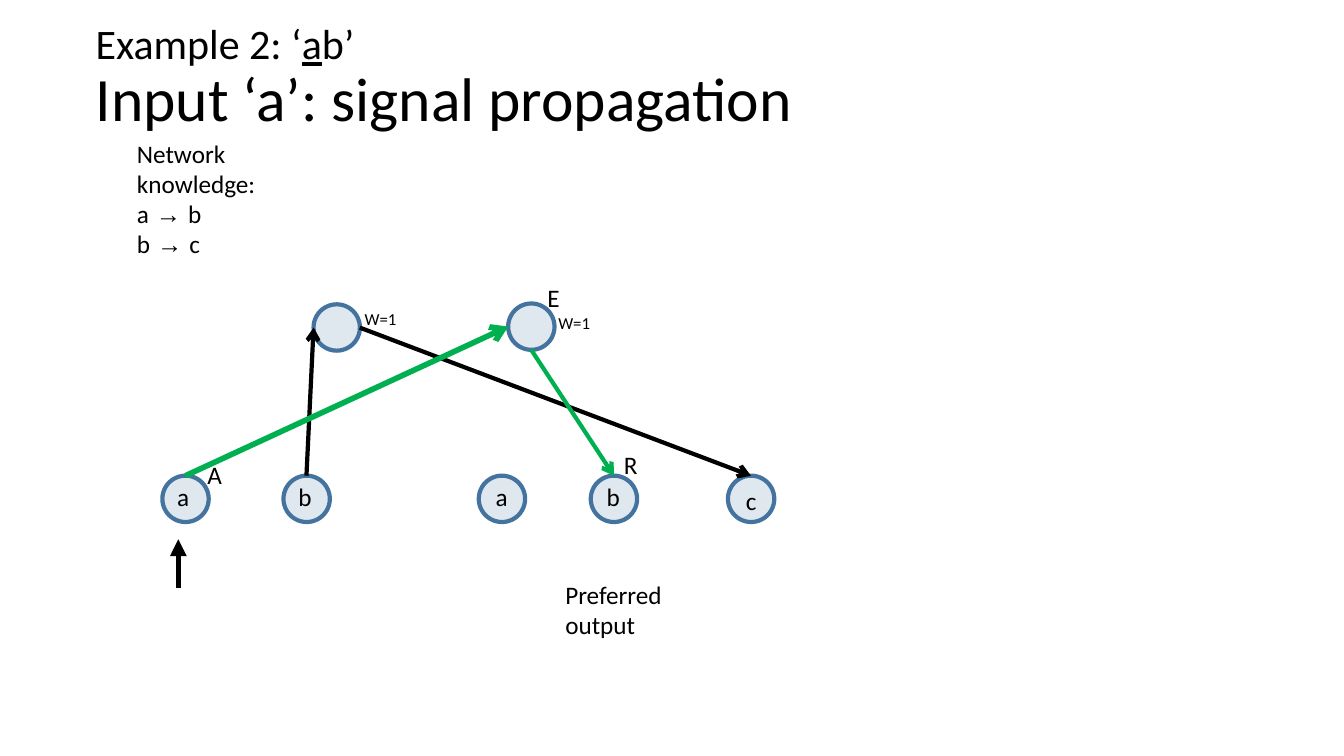
from lxml import etree
from pptx import Presentation
from pptx import util as u
from pptx.dml.color import RGBColor
from pptx.enum import shapes, text
from pptx.oxml import ns

Pt = u.Pt
rgb = RGBColor.from_string


def add_text(x, y, w, h, paragraphs, anchor=text.MSO_ANCHOR.TOP, spacing=1.0):
    tf = s.shapes.add_textbox(Pt(x), Pt(y), Pt(w), Pt(h)).text_frame
    tf.word_wrap = True
    tf.vertical_anchor = anchor
    for i, runs in enumerate(paragraphs):
        p = tf.add_paragraph() if i else tf.paragraphs[0]
        p.line_spacing = spacing
        for content, size, face, underline in runs:
            if content == "\n":
                p.add_line_break()
                continue
            r = p.add_run()
            r.text = content
            r.font.size = Pt(size)
            r.font.name = face
            r.font.underline = underline
            r.font.color.rgb = rgb("000000")


def add_arrow(x1, y1, x2, y2, color, width, head):
    sp = s.shapes.add_connector(shapes.MSO_CONNECTOR.STRAIGHT, Pt(x1), Pt(y1), Pt(x2), Pt(y2))
    sp.line.color.rgb = rgb(color)
    sp.line.width = Pt(width)
    etree.SubElement(sp.line._get_or_add_ln(), ns.qn("a:tailEnd"), type=head)
    etree.SubElement(sp._element.spPr, ns.qn("a:effectLst"))


prs = Presentation()
prs.slide_width, prs.slide_height = Pt(960), Pt(540)
s = prs.slides.add_slide(prs.slide_layouts[6])

add_text(61.2, 4.3, 828, 104.4, [[
    ("Example 2: ‘", 30, "Calibri", False),
    ("a", 30, "Calibri", True),
    ("b’", 30, "Calibri", False),
    ("\n", 30, "Calibri", False),
    ("Input ‘a’: signal propagation", 44, "Calibri", False),
]], text.MSO_ANCHOR.MIDDLE, 0.9)

hidden_nodes = [(224, 217.4), (363, 216.8)]
letter_nodes = [(116, 339.8), (202.5, 339.8), (342, 339.8), (422, 339.8), (520, 339.8)]
for x, y in hidden_nodes + letter_nodes:
    sp = s.shapes.add_shape(shapes.MSO_SHAPE.OVAL, Pt(x), Pt(y), Pt(33.1), Pt(33.1))
    sp.shadow.inherit = False
    sp.fill.solid()
    sp.fill.fore_color.rgb = rgb("41719C")
    color = sp._element.spPr.find(ns.qn("a:solidFill"))[0]
    etree.SubElement(color, ns.qn("a:alpha"), val="16000")
    sp.line.color.rgb = rgb("43739E")
    sp.line.width = Pt(3)

for arrow in [
    (218.9, 339.8, 224, 234, "000000", 3, "arrow"),
    (257, 234, 536.4, 339.8, "000000", 3, "arrow"),
    (132.5, 339.8, 363, 233.3, "00B050", 4, "arrow"),
    (379.4, 249.8, 438.5, 339.8, "00B050", 3, "arrow"),
    (127.4, 419.8, 127.4, 385.2, "000000", 4, "triangle"),
]:
    add_arrow(*arrow)

for label, size, x, y, w, h in [
    ("a", 18, 119.5, 340.6, 21.6, 30),
    ("b", 18, 206, 340.6, 22.3, 30),
    ("a", 18, 347, 340.6, 21.6, 30),
    ("b", 18, 426.2, 340.6, 22.3, 30),
    ("c", 18, 525.6, 343.4, 20.2, 30),
    ("A", 18, 141.1, 324.7, 22.3, 29),
    ("E", 18, 383.8, 198, 22.3, 29),
    ("R", 18, 438.5, 317.5, 41.8, 29),
    ("W=1", 12, 253.4, 216.7, 56.2, 21.6),
    ("W=1", 12, 391.7, 219.6, 56.2, 21.6),
    ("Preferred output", 18, 396.7, 410.4, 89.3, 51),
]:
    add_text(x, y, w, h, [[(label, size, "Calibri", False)]])

rules = [[(left, 18, "Calibri", False), (" → ", 18, "Arial", False), (right, 18, "Calibri", False)]
         for left, right in ["ab", "bc"]]
add_text(90.7, 95, 121.7, 94.3, [[("Network knowledge:", 18, "Calibri", False)]] + rules)

prs.save("out.pptx")
